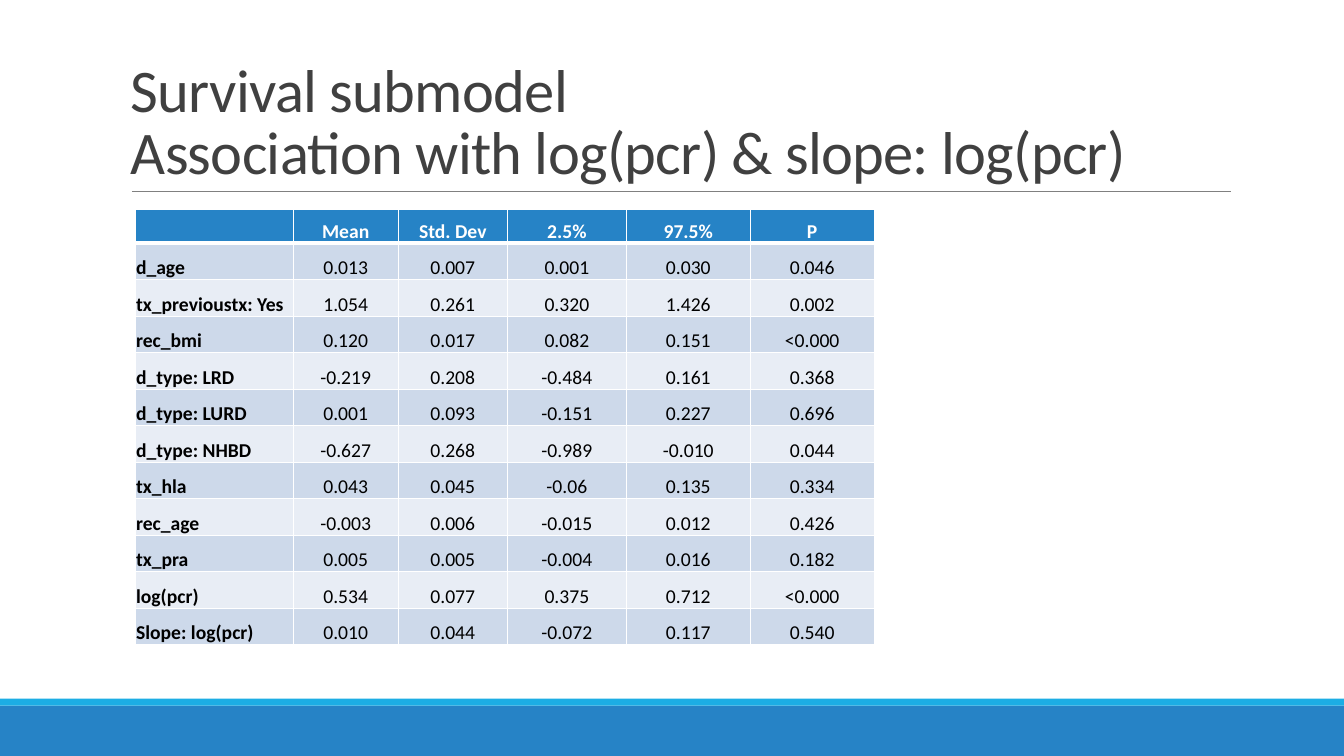
from typing import NamedTuple

from pptx import Presentation
from pptx.dml.color import RGBColor
from pptx.enum.shapes import MSO_CONNECTOR, MSO_SHAPE
from pptx.enum.text import MSO_ANCHOR, PP_ALIGN
from pptx.oxml.ns import qn
from pptx.util import Pt
from lxml.etree import SubElement

FONT = "Calibri"
BLUE, CYAN, GREY, DARK = "2683C6", "1CADE4", "808080", "404040"
WHITE, BLACK = "FFFFFF", "000000"
BANDS = ("CDD9EA", "E8EDF5")
WIDTH, HEIGHT = 960, 540


class Bar(NamedTuple):
    top: float
    height: float
    color: str


FOOTER_BARS = [Bar(504, 36, BLUE), Bar(499, 5, CYAN)]

TITLE = ["Survival submodel ", "Association with log(pcr) & slope: log(pcr)"]

COLUMN_WIDTHS = [113, 75, 78, 85, 88.5, 88.5]
HEADER_HEIGHT, ROW_HEIGHT = 24, 26.1
ESTIMATES = [
    ["", "Mean", "Std. Dev", "2.5%", "97.5%", "P"],
    ["d_age", "0.013", "0.007", "0.001", "0.030", "0.046"],
    ["tx_previoustx: Yes", "1.054", "0.261", "0.320", "1.426", "0.002"],
    ["rec_bmi", "0.120", "0.017", "0.082", "0.151", "<0.000"],
    ["d_type: LRD", "-0.219", "0.208", "-0.484", "0.161", "0.368"],
    ["d_type: LURD", "0.001", "0.093", "-0.151", "0.227", "0.696"],
    ["d_type: NHBD", "-0.627", "0.268", "-0.989", "-0.010", "0.044"],
    ["tx_hla", "0.043", "0.045", "-0.06", "0.135", "0.334"],
    ["rec_age", "-0.003", "0.006", "-0.015", "0.012", "0.426"],
    ["tx_pra", "0.005", "0.005", "-0.004", "0.016", "0.182"],
    ["log(pcr)", "0.534", "0.077", "0.375", "0.712", "<0.000"],
    ["Slope: log(pcr)", "0.010", "0.044", "-0.072", "0.117", "0.540"],
]


def rgb(color: str) -> RGBColor:
    return RGBColor.from_string(color)


def write(para, text: str, *, size: float, color: str, bold: bool = False,
          align=PP_ALIGN.LEFT, spacing: float = 0) -> None:
    para.alignment = align
    span = para.add_run()
    span.text = text
    span.font.name = FONT
    span.font.size = Pt(size)
    span.font.bold = bold
    span.font.color.rgb = rgb(color)
    if spacing:
        span._r.get_or_add_rPr().set("spc", str(round(spacing * 100)))


def add_bar(page, bar: Bar) -> None:
    shape = page.shapes.add_shape(
        MSO_SHAPE.RECTANGLE, 0, Pt(bar.top), Pt(WIDTH), Pt(bar.height))
    shape.shadow.inherit = False
    shape.fill.solid()
    shape.fill.fore_color.rgb = rgb(bar.color)
    shape.line.fill.background()


def add_rule(page, left: float, right: float, top: float) -> None:
    rule = page.shapes.add_connector(
        MSO_CONNECTOR.STRAIGHT, Pt(left), Pt(top), Pt(right), Pt(top))
    rule.line.color.rgb = rgb(GREY)
    rule.line.width = Pt(0.5)
    SubElement(rule._element.spPr, qn("a:effectLst"))


def add_title(page) -> None:
    box = page.shapes.add_textbox(Pt(86.4), Pt(22.3), Pt(792), Pt(114.5))
    frame = box.text_frame
    frame.word_wrap = True
    frame.vertical_anchor = MSO_ANCHOR.BOTTOM
    para = frame.paragraphs[0]
    para.line_spacing = 0.85
    for index, line in enumerate(TITLE):
        if index:
            para.add_line_break()
        write(para, line, size=43.2, color=DARK, spacing=-0.5)


def set_borders(cell, bottom: float) -> None:
    properties = cell._tc.get_or_add_tcPr()
    widths = {"lnL": 1, "lnR": 1, "lnT": 1, "lnB": bottom}
    # Border lines come before the fill in the cell properties
    for position, (side, width) in enumerate(widths.items()):
        line = SubElement(properties, qn(f"a:{side}"), w=str(Pt(width)))
        fill = SubElement(line, qn("a:solidFill"))
        SubElement(fill, qn("a:srgbClr"), val=WHITE)
        properties.insert(position, line)


def fill_cell(cell, text: str, row: int, column: int) -> None:
    header = row == 0
    cell.fill.solid()
    cell.fill.fore_color.rgb = rgb(BLUE if header else BANDS[(row - 1) % 2])
    cell.vertical_anchor = MSO_ANCHOR.BOTTOM
    cell.margin_left = cell.margin_right = cell.margin_top = Pt(0.7)
    cell.margin_bottom = 0
    write(cell.text_frame.paragraphs[0], text, size=14,
          color=WHITE if header else BLACK, bold=header or column == 0,
          align=PP_ALIGN.CENTER if header or column else PP_ALIGN.LEFT)
    set_borders(cell, bottom=3 if header else 1)


def add_estimates(page) -> None:
    heights = [HEADER_HEIGHT] + [ROW_HEIGHT] * (len(ESTIMATES) - 1)
    table = page.shapes.add_table(
        len(heights), len(COLUMN_WIDTHS), Pt(96.5), Pt(149.8),
        Pt(sum(COLUMN_WIDTHS)), Pt(sum(heights))).table
    for column, width in zip(table.columns, COLUMN_WIDTHS):
        column.width = Pt(width)
    for row, height in zip(table.rows, heights):
        row.height = Pt(height)
    for row, values in enumerate(ESTIMATES):
        for column, text in enumerate(values):
            fill_cell(table.cell(row, column), text, row, column)


deck = Presentation()
deck.slide_width, deck.slide_height = Pt(WIDTH), Pt(HEIGHT)
page = deck.slides.add_slide(deck.slide_layouts[6])

# Footer bars and the rule under the title
for footer_bar in FOOTER_BARS:
    add_bar(page, footer_bar)
add_rule(page, left=94.3, right=879, top=136.8)

# Title and table of estimates
add_title(page)
add_estimates(page)

deck.save("out.pptx")
